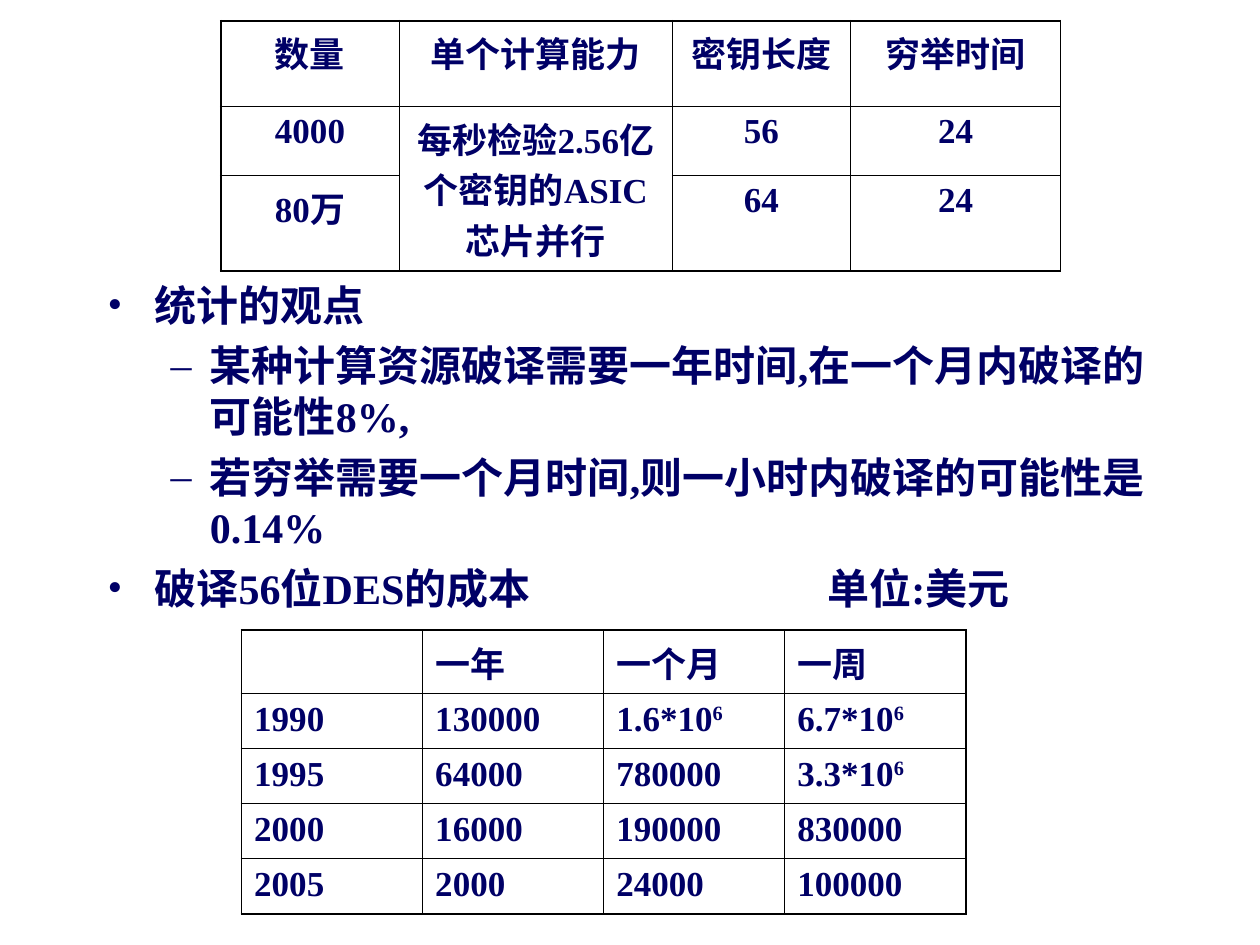
import lxml.etree
import pptx
import pptx.dml.color
import pptx.enum.text
import pptx.oxml.ns
import pptx.util

Cm = pptx.util.Cm
Pt = pptx.util.Pt
qn = pptx.oxml.ns.qn
ALIGN = pptx.enum.text.PP_ALIGN
NAVY = pptx.dml.color.RGBColor(0x00, 0x00, 0x66)
BLACK = pptx.dml.color.RGBColor(0x00, 0x00, 0x00)
THICK = Pt(1.08)
THIN = Pt(0.45)


def add_node(parent, tag, **attrs):
    node = lxml.etree.SubElement(parent, qn(tag))
    for key, value in attrs.items():
        node.set(key, str(value))
    return node


def add_run(para, text, size):
    run = para.add_run()
    run.text = text
    style = {"name": "Times New Roman", "size": Pt(size), "bold": True}
    for key, value in style.items():
        setattr(run.font, key, value)
    run.font.color.rgb = NAVY
    return run


deck = pptx.Presentation()
deck.slide_width = Cm(25.4)
deck.slide_height = Cm(19.05)
slide = deck.slides.add_slide(deck.slide_layouts[6])

grids = [
    {
        "left": 4.45, "top": 0.42, "align": ALIGN.CENTER,
        "cols": [3.6, 5.5, 3.6, 4.23], "rows": [1.72, 1.39, 1.42],
        "merge": [(1, 1), (2, 1)],
        "data": [
            ["数量", "单个计算能力", "密钥长度", "穷举时间"],
            ["4000", "每秒检验2.56亿个密钥的ASIC芯片并行", "56", "24"],
            ["80万", "", "64", "24"],
        ],
    },
    {
        "left": 4.87, "top": 12.7, "align": ALIGN.LEFT,
        "cols": [3.65] * 4, "rows": [1.11] * 5,
        "merge": None,
        "data": [
            ["", "一年", "一个月", "一周"],
            ["1990", "130000", "1.6*10^6", "6.7*10^6"],
            ["1995", "64000", "780000", "3.3*10^6"],
            ["2000", "16000", "190000", "830000"],
            ["2005", "2000", "24000", "100000"],
        ],
    },
]

for grid in grids:
    cols, rows = grid["cols"], grid["rows"]
    frame = slide.shapes.add_table(
        len(rows), len(cols), Cm(grid["left"]), Cm(grid["top"]),
        Cm(sum(cols)), Cm(sum(rows)))
    table = frame.table
    for flag in ("first_row", "horz_banding"):
        setattr(table, flag, False)
    for col, width in zip(table.columns, cols):
        col.width = Cm(width)
    for row, height in zip(table.rows, rows):
        row.height = Cm(height)
    if grid["merge"]:
        start, end = grid["merge"]
        table.cell(*start).merge(table.cell(*end))
    for r, line in enumerate(grid["data"]):
        for c, text in enumerate(line):
            cell = table.cell(r, c)
            last = r + (cell.span_height if cell.is_merge_origin else 1)
            edges = {
                "a:lnL": c == 0,
                "a:lnR": c == len(cols) - 1,
                "a:lnT": r == 0,
                "a:lnB": last == len(rows),
            }
            props = cell._tc.get_or_add_tcPr()
            for tag, outer in edges.items():
                edge = add_node(props, tag, w=int(THICK if outer else THIN))
                fill = add_node(edge, "a:solidFill")
                add_node(fill, "a:srgbClr", val=BLACK)
            cell.fill.background()
            para = cell.text_frame.paragraphs[0]
            para.alignment = grid["align"]
            if text:
                base, _, power = text.partition("^")
                add_run(para, base, 20)
                if power:
                    run = add_run(para, power, 20)
                    run.font._element.set("baseline", "30000")

box = slide.shapes.add_textbox(Cm(1.92), Cm(5.5), Cm(21.6), Cm(11.43))
box.text_frame.word_wrap = True
levels = [
    {"mark": "•", "left": 0.95, "hang": 0.95},
    {"mark": "–", "left": 2.06, "hang": 0.79},
]
points = [
    (0, "统计的观点"),
    (1, "某种计算资源破译需要一年时间,在一个月内破译的可能性8%,"),
    (1, "若穷举需要一个月时间,则一小时内破译的可能性是0.14%"),
    (0, "破译56位DES的成本\t单位:美元"),
]
for i, (depth, text) in enumerate(points):
    level = levels[depth]
    para = box.text_frame.add_paragraph() if i else box.text_frame.paragraphs[0]
    props = para._p.get_or_add_pPr()
    props.set("marL", str(int(Cm(level["left"]))))
    props.set("indent", str(-int(Cm(level["hang"]))))
    color = add_node(props, "a:buClr")
    add_node(color, "a:srgbClr", val=NAVY)
    add_node(props, "a:buFont", typeface="Times New Roman")
    add_node(props, "a:buChar", char=level["mark"])
    if "\t" in text:
        tabs = add_node(props, "a:tabLst")
        add_node(tabs, "a:tab", pos=int(Cm(14.51)), algn="l")
    form = {"level": depth}
    if i:
        form["space_before"] = Pt(6)
    for key, value in form.items():
        setattr(para, key, value)
    add_run(para, text, 24)

deck.save("out.pptx")
